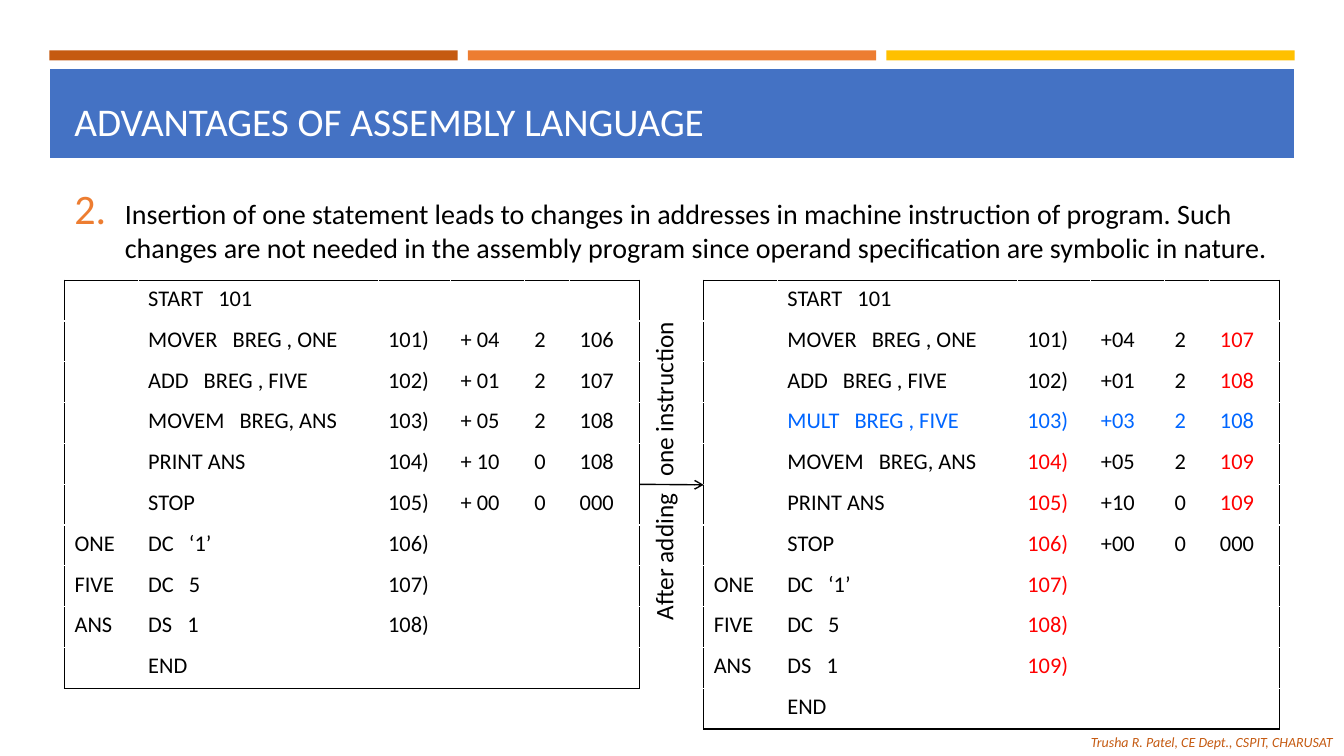
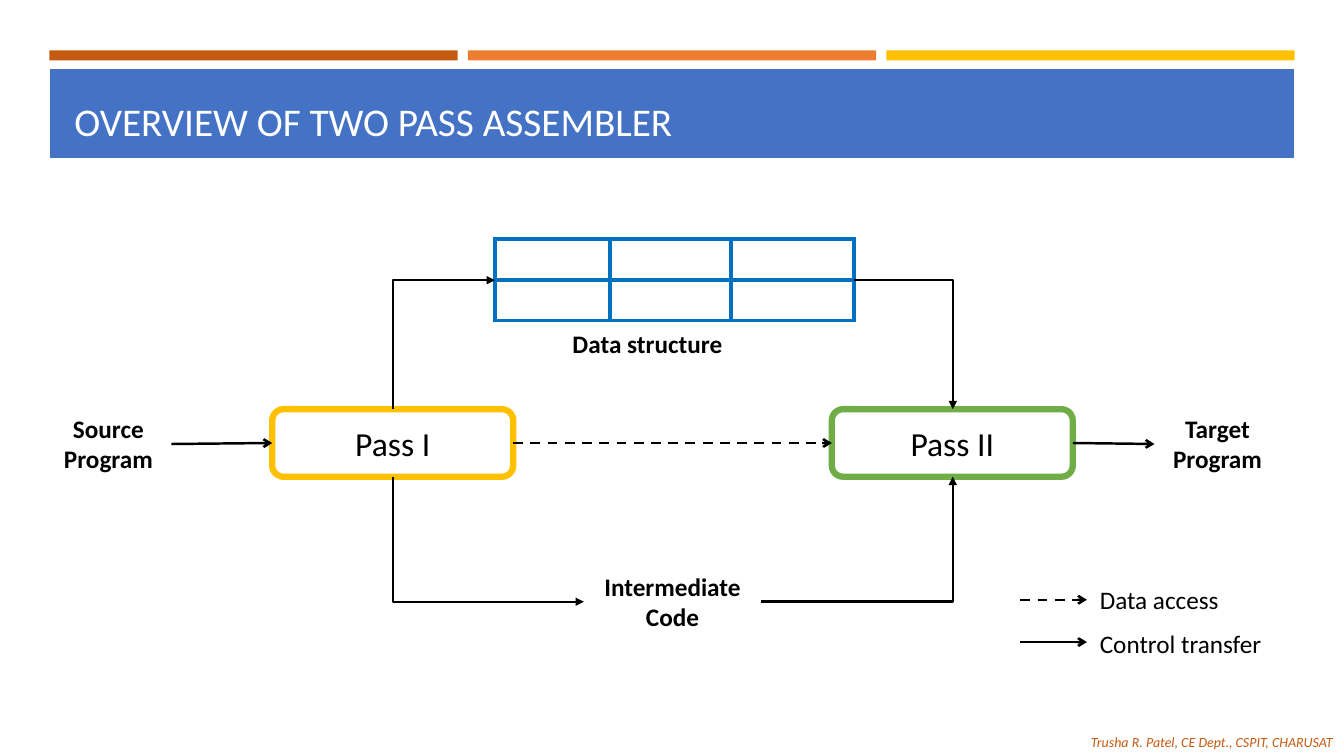
import lxml.etree
import pptx
import pptx.dml.color
import pptx.enum.dml
import pptx.enum.shapes
import pptx.enum.text
import pptx.oxml.ns
import pptx.util

Inches = pptx.util.Inches
Pt = pptx.util.Pt
qn = pptx.oxml.ns.qn
rgb = pptx.dml.color.RGBColor.from_string
SubElement = lxml.etree.SubElement
PP_ALIGN = pptx.enum.text.PP_ALIGN
MSO_ANCHOR = pptx.enum.text.MSO_ANCHOR
MSO_SHAPE = pptx.enum.shapes.MSO_SHAPE
MSO_CONNECTOR = pptx.enum.shapes.MSO_CONNECTOR

FONT = "Calibri"
BLACK, WHITE, BLUE = "000000", "FFFFFF", "4472C4"
RUST, ORANGE, GOLD, GREEN = "C55A11", "ED7D31", "FFC000", "70AD47"
TABLE_BLUE, CHANGED, INSERTED = "0070C0", "FF0000", "0066FF"


def write(tf, text, size, color=BLACK, bold=None, italic=None, align=None, wrap=False):
    tf.text = text
    tf.word_wrap = wrap
    for p in tf.paragraphs:
        p.alignment = align
        for r in p.runs:
            r.font.name = FONT
            r.font.size = Pt(size)
            r.font.bold = bold
            r.font.italic = italic
            r.font.color.rgb = rgb(color)


def connect(s, x1, y1, x2, y2, head="arrow", width=1.75, dash=False, bend=None):
    if bend == "vertical first":
        cx, cy, dx, dy = (x1 + x2) / 2, (y1 + y2) / 2, x2 - x1, y2 - y1
        x1, y1, x2, y2 = cx + dy / 2, cy - dx / 2, cx - dy / 2, cy + dx / 2
    kind = MSO_CONNECTOR.ELBOW if bend else MSO_CONNECTOR.STRAIGHT
    line = s.shapes.add_connector(kind, Inches(x1), Inches(y1), Inches(x2), Inches(y2))
    line.line.color.rgb = rgb(BLACK)
    line.line.width = Pt(width)
    if dash:
        line.line.dash_style = pptx.enum.dml.MSO_LINE.DASH
    spPr = line._element.spPr
    SubElement(spPr.find(qn("a:ln")), qn("a:tailEnd"), type=head)
    SubElement(spPr, qn("a:effectLst"))
    if bend:
        spPr.find(qn("a:prstGeom")).set("prst", "bentConnector2")
    if bend == "vertical first":
        spPr.find(qn("a:xfrm")).set("rot", str(270 * 60000))
    return line


prs = pptx.Presentation()
prs.slide_width = Inches(13.33)
prs.slide_height = Inches(7.5)

slides = []
for title in ["ADVANTAGES OF ASSEMBLY LANGUAGE", "OVERVIEW OF TWO PASS ASSEMBLER"]:
    s = prs.slides.add_slide(prs.slide_layouts[6])
    slides.append(s)
    sp = s.shapes.add_textbox(Inches(10.72), Inches(7.23), Inches(2.61), Inches(0.27))
    write(sp.text_frame, "Trusha R. Patel, CE Dept., CSPIT, CHARUSAT", 10, RUST, italic=True)
    bands = [(0.48, 0.67, 12.37, 0.91, BLUE)]
    bands += [(0.49 + 4.15 * i, 0.5, 4.05, 0.1, c) for i, c in enumerate([RUST, ORANGE, GOLD])]
    for x, y, w, h, color in bands:
        sp = s.shapes.add_shape(MSO_SHAPE.RECTANGLE, Inches(x), Inches(y), Inches(w), Inches(h))
        sp.shadow.inherit = False
        sp.fill.solid()
        sp.fill.fore_color.rgb = rgb(color)
        if color == BLUE:
            sp.line.color.rgb = rgb(WHITE)
            sp.line.width = Pt(2)
        else:
            sp.line.fill.background()
    sp = s.shapes.add_textbox(Inches(0.64), Inches(0.77), Inches(12.06), Inches(0.71))
    write(sp.text_frame, title, 28, WHITE, wrap=True)
    sp.text_frame.vertical_anchor = MSO_ANCHOR.BOTTOM
advantages, overview = slides

sp = advantages.shapes.add_textbox(Inches(0.64), Inches(1.9), Inches(12.06), Inches(5.25))
write(sp.text_frame, "Insertion of one statement leads to changes in addresses in machine instruction of "
      "program. Such changes are not needed in the assembly program since operand "
      "specification are symbolic in nature.", 20, wrap=True)
p = sp.text_frame.paragraphs[0]
pPr = p._p.get_or_add_pPr()
pPr.set("marL", str(Inches(0.5)))
pPr.set("indent", str(-Inches(0.5)))
SubElement(SubElement(pPr, qn("a:buClr")), qn("a:srgbClr"), val=ORANGE)
SubElement(pPr, qn("a:buSzPct"), val="150000")
SubElement(pPr, qn("a:buFont"), typeface=FONT)
SubElement(pPr, qn("a:buAutoNum"), type="arabicPeriod", startAt="2")
p.space_after = Pt(6)

before = [row.split("|") for row in [
    "|START   101||||",
    "|MOVER   BREG , ONE|101)|+ 04|2|106",
    "|ADD   BREG , FIVE|102)|+ 01|2|107",
    "|MOVEM   BREG, ANS|103)|+ 05|2|108",
    "|PRINT ANS|104)|+ 10|0|108",
    "|STOP|105)|+ 00|0|000",
    "ONE|DC   ‘1’|106)|||",
    "FIVE|DC   5|107)|||",
    "ANS|DS   1|108)|||",
    "|END||||",
]]
after = [row.split("|") for row in [
    "|START   101||||",
    "|MOVER   BREG , ONE|101)|+04|2|107",
    "|ADD   BREG , FIVE|102)|+01|2|108",
    "|MULT   BREG , FIVE|103)|+03|2|108",
    "|MOVEM   BREG, ANS|104)|+05|2|109",
    "|PRINT ANS|105)|+10|0|109",
    "|STOP|106)|+00|0|000",
    "ONE|DC   ‘1’|107)|||",
    "FIVE|DC   5|108)|||",
    "ANS|DS   1|109)|||",
    "|END||||",
]]
old_rows = {row[1]: row for row in before}
ADDRESS_COLUMNS = (2, 5)

frames = []
for s, x, y, cols, rows, border, width, inner in [
    (advantages, 0.64, 2.78, [0.73, 2.38, 0.72, 0.73, 0.45, 0.69], before, BLACK, 1, False),
    (advantages, 6.98, 2.78, [0.73, 2.38, 0.73, 0.73, 0.45, 0.69], after, BLACK, 1, False),
    (overview, 4.91, 2.37, [1.14, 1.2, 1.22], [[""] * 3] * 2, TABLE_BLUE, 3, True),
]:
    row_height = Inches(0.81) // 2
    frame = s.shapes.add_table(len(rows), len(cols), Inches(x), Inches(y),
                               Inches(sum(cols)), row_height * len(rows))
    frames.append(frame)
    table = frame.table
    table.first_row = False
    table.horz_banding = False
    for column, w in zip(table.columns, cols):
        column.width = Inches(w)
    for i, row in enumerate(rows):
        table.rows[i].height = row_height
        for j, text in enumerate(row):
            cell = table.cell(i, j)
            tcPr = cell._tc.get_or_add_tcPr()
            for side, outer in [("L", j == 0), ("R", j == len(cols) - 1),
                                ("T", i == 0), ("B", i == len(rows) - 1)]:
                if outer or inner:
                    ln = SubElement(tcPr, qn("a:ln" + side), w=str(Pt(width)))
                    SubElement(SubElement(ln, qn("a:solidFill")), qn("a:srgbClr"), val=border)
            cell.fill.background()
            if text:
                color = BLACK
                if row[1] not in old_rows:
                    color = INSERTED
                elif j in ADDRESS_COLUMNS and text != old_rows[row[1]][j]:
                    color = CHANGED
                write(cell.text_frame, text, 16, color, wrap=True)

line = connect(advantages, 6.34, 4.81, 6.98, 4.81, width=1)
line.begin_connect(frames[0], 3)

sp = advantages.shapes.add_textbox(Inches(6.38), Inches(3.12), Inches(0.5), Inches(3.13))
tf = sp.text_frame
tf._txBody.bodyPr.set("vert", "vert270")
write(tf, "After adding", 18)
p = tf.paragraphs[0]
for text in [" ", "one instruction"]:
    r = p.add_run()
    r.text = text
    r.font.name = FONT
    r.font.size = Pt(18)
    r.font.color.rgb = rgb(BLACK)
p.runs[1].font._element.set("spc", "800")

passes = []
for text, x, color in [("Pass I", 2.7, GOLD), ("Pass II", 8.25, GREEN)]:
    sp = overview.shapes.add_shape(MSO_SHAPE.ROUNDED_RECTANGLE, Inches(x), Inches(4.06),
                                   Inches(2.39), Inches(0.67))
    sp.shadow.inherit = False
    sp.fill.solid()
    sp.fill.fore_color.rgb = rgb(WHITE)
    sp.line.color.rgb = rgb(color)
    sp.line.width = Pt(4.5)
    write(sp.text_frame, text, 24, align=PP_ALIGN.CENTER, wrap=True)
    sp.text_frame.vertical_anchor = MSO_ANCHOR.MIDDLE
    passes.append(sp)
pass_1, pass_2 = passes

labels = []
for text, x, y, w, h, bold, align in [
    ("Source\nProgram", 0.45, 4.05, 1.25, 0.71, True, PP_ALIGN.CENTER),
    ("Target\nProgram", 11.45, 4.05, 1.25, 0.71, True, PP_ALIGN.CENTER),
    ("Data structure", 5.58, 3.21, 1.93, 0.4, True, None),
    ("Intermediate\nCode", 5.79, 5.62, 1.76, 0.71, True, PP_ALIGN.CENTER),
    ("Data access", 10.81, 5.75, 1.4, 0.4, None, None),
    ("Control transfer", 10.81, 6.18, 1.88, 0.4, None, None),
]:
    sp = overview.shapes.add_textbox(Inches(x), Inches(y), Inches(w), Inches(h))
    write(sp.text_frame, text, 18, bold=bold, align=align)
    labels.append(sp)
source, target = labels[:2]

for start, end, x1, x2, dash in [
    (source, pass_1, 1.7, 2.7, False),
    (pass_2, target, 10.64, 11.45, False),
    (pass_1, pass_2, 5.09, 8.25, True),
]:
    line = connect(overview, x1, 4.4, x2, 4.4, dash=dash)
    line.begin_connect(start, 3)
    line.end_connect(end, 1)

for x1, y1, x2, y2, bend in [
    (7.55, 5.97, 9.45, 4.73, "horizontal first"),
    (3.9, 4.73, 5.79, 5.97, "vertical first"),
    (3.9, 4.06, 4.91, 2.78, "vertical first"),
    (8.47, 2.78, 9.45, 4.06, "horizontal first"),
]:
    connect(overview, x1, y1, x2, y2, head="triangle", bend=bend)

for y, dash in [(5.95, True), (6.37, False)]:
    connect(overview, 10.12, y, 10.78, y, dash=dash)

prs.save("out.pptx")
